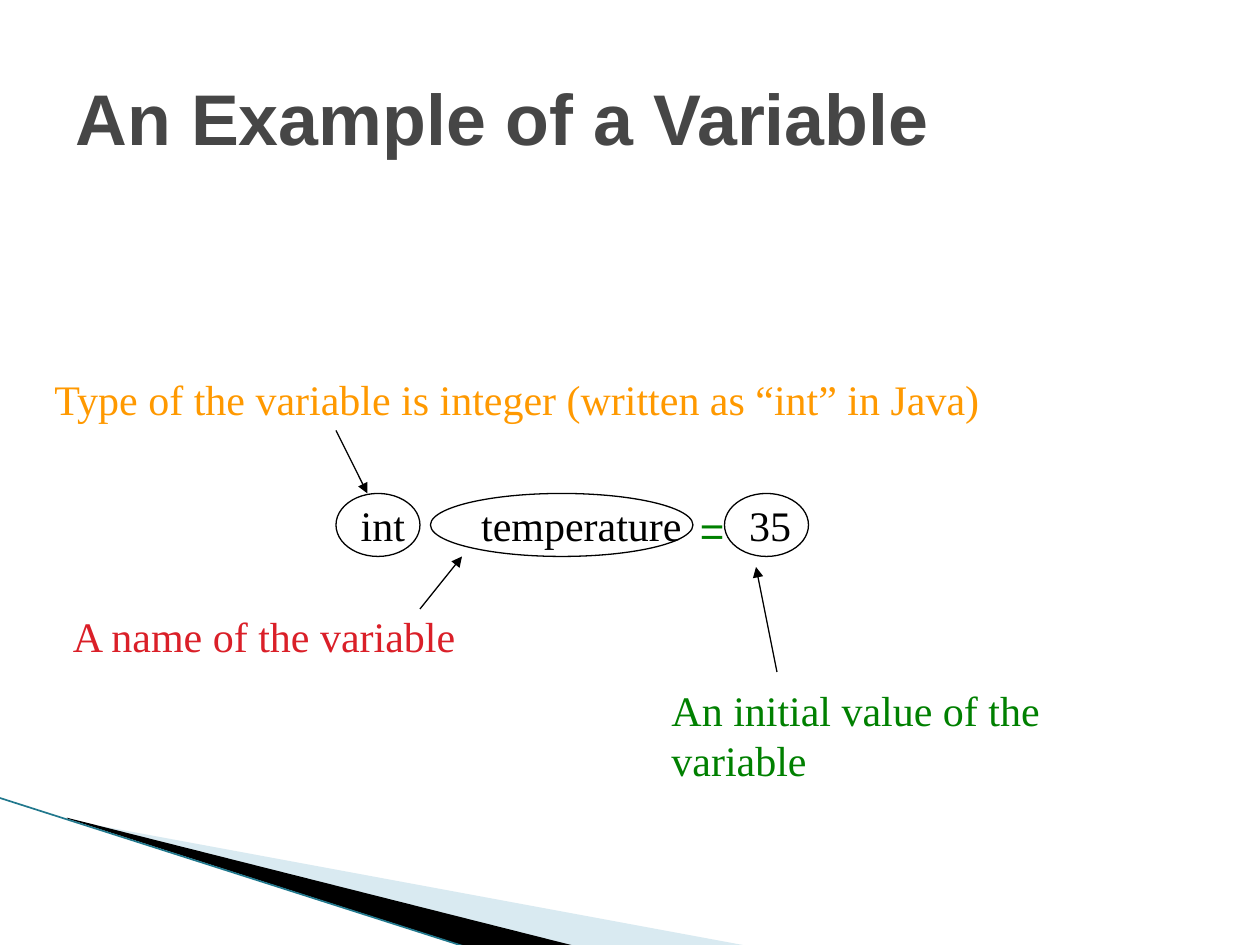
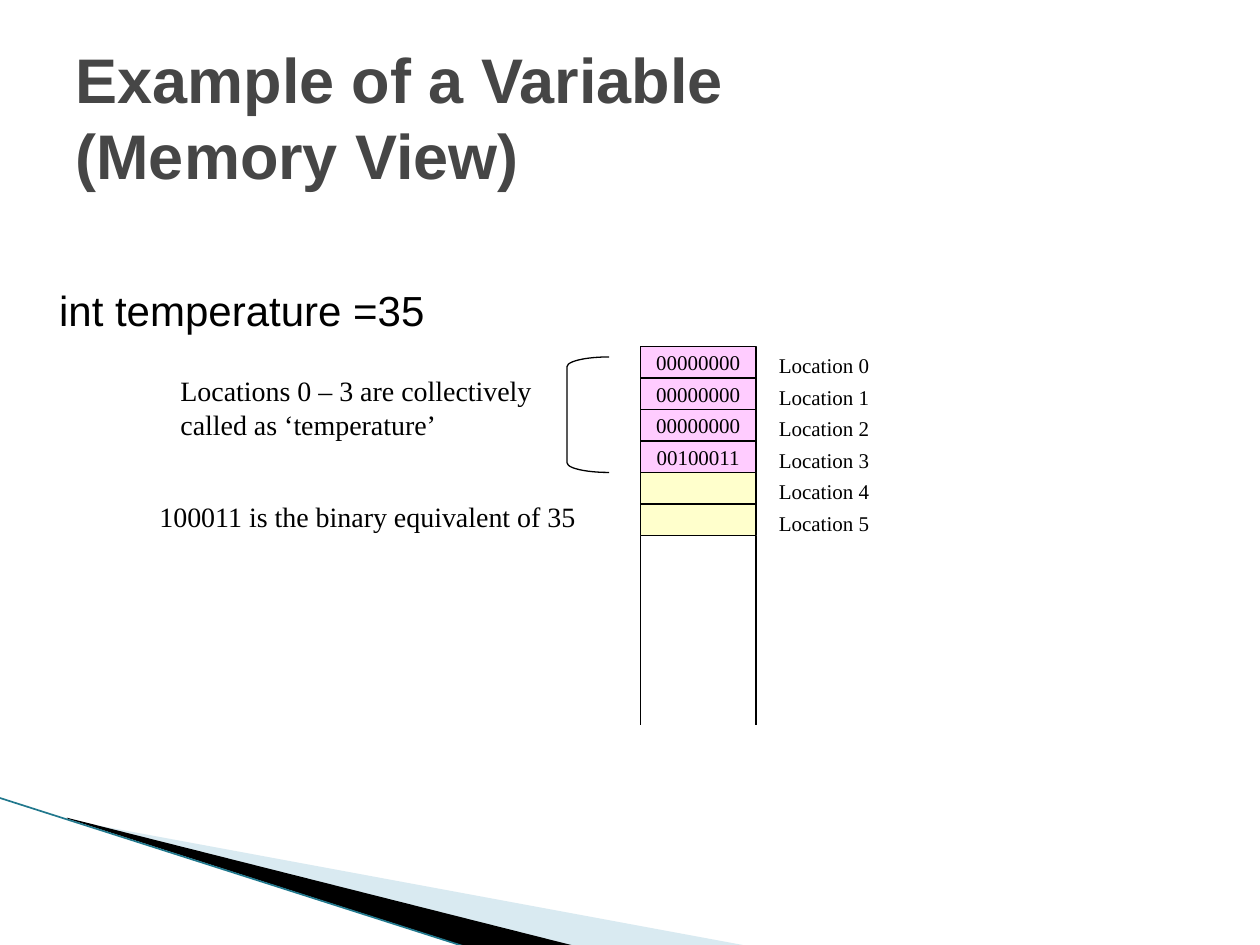
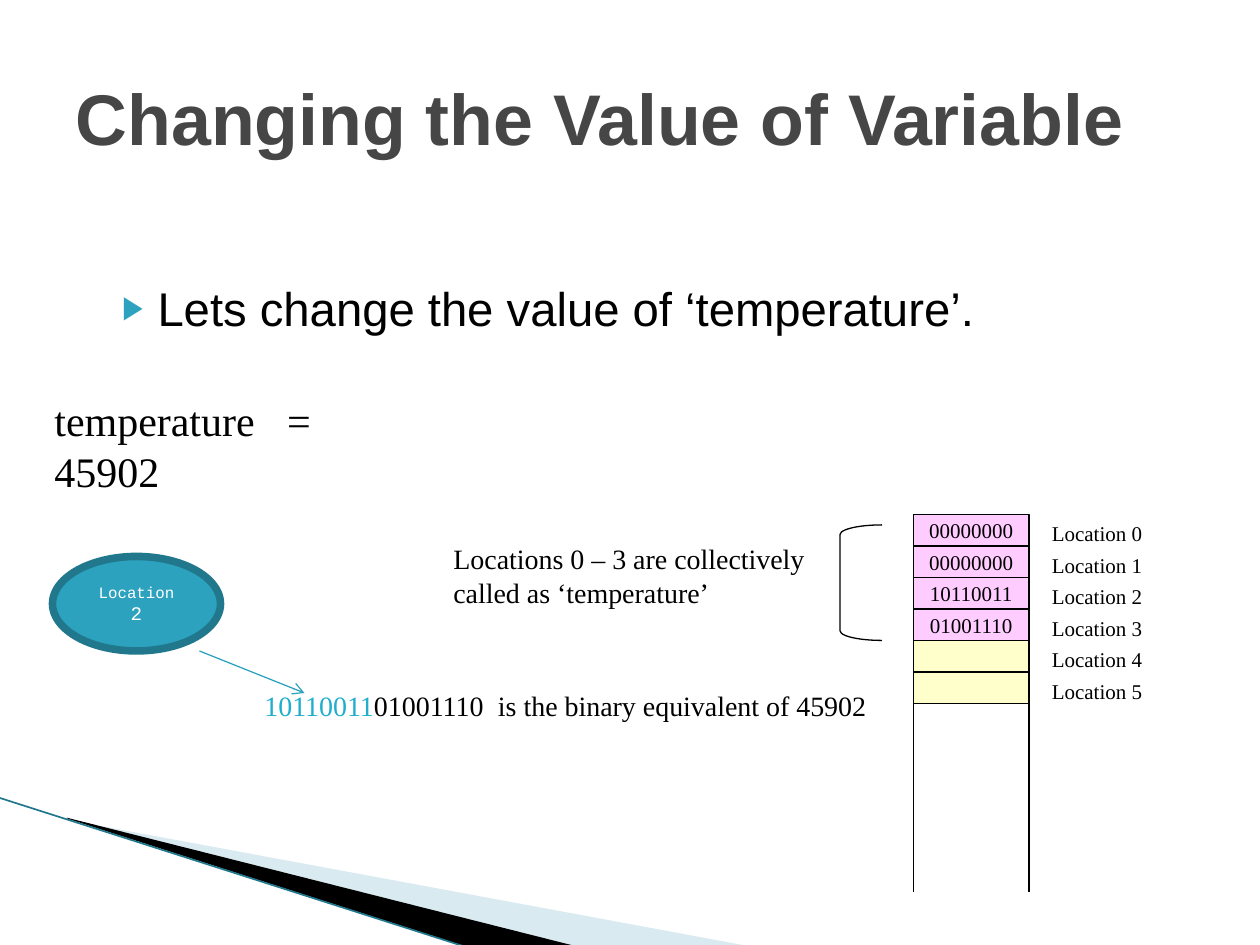
import pptx
import pptx.dml.color
import pptx.enum.shapes
import pptx.enum.text
import pptx.oxml
import pptx.oxml.ns
import pptx.util

Pt = pptx.util.Pt
RGBColor = pptx.dml.color.RGBColor
SHAPE = pptx.enum.shapes.MSO_SHAPE
ALIGN = pptx.enum.text.PP_ALIGN
ANCHOR = pptx.enum.text.MSO_ANCHOR
AUTO_SIZE = pptx.enum.text.MSO_AUTO_SIZE
qn = pptx.oxml.ns.qn

BLACK = RGBColor(0x00, 0x00, 0x00)
WHITE = RGBColor(0xFF, 0xFF, 0xFF)
TITLE_GREY = RGBColor(0x46, 0x46, 0x46)
ORANGE = RGBColor(0xFF, 0x99, 0x00)
RED = RGBColor(0xDA, 0x1F, 0x28)
GREEN = RGBColor(0x00, 0x80, 0x00)
PINK = RGBColor(0xFF, 0xCC, 0xFF)
YELLOW = RGBColor(0xFF, 0xFF, 0xCC)
TEAL = RGBColor(0x2D, 0xA2, 0xBF)
TEAL_DARK = RGBColor(0x21, 0x78, 0x8D)
TEAL_BRIGHT = RGBColor(0x1F, 0xAE, 0xCD)
PALE_BLUE = RGBColor(0xA0, 0xCB, 0xDC)

SANS, SERIF, MONO = "Arial", "Times New Roman", "Courier New"


def sub(parent, tag, **attrs):
    """Append a child element such as a:buNone and return it."""
    child = pptx.oxml.parse_xml(f"<{tag} {pptx.oxml.ns.nsdecls('a')}/>")
    for name, value in attrs.items():
        child.set(name, str(value))
    parent.append(child)
    return child


def pts(*values):
    return [Pt(v) for v in values]


def format_run(r, size, color=BLACK, font=SERIF, bold=False):
    r.font.name, r.font.size, r.font.bold = font, Pt(size), bold
    r.font.color.rgb = color


def set_text(tf, text, size, color=BLACK, font=SERIF, bold=False, align=ALIGN.LEFT):
    tf.text = text
    for p in tf.paragraphs:
        p.alignment = align
        for r in p.runs:
            format_run(r, size, color, font, bold)


def add_text(s, x, y, w, h, text, size, color=BLACK, wrap=False, tabs=()):
    tf = s.shapes.add_textbox(*pts(x, y, w, h)).text_frame
    tf.word_wrap = wrap
    set_text(tf, text, size, color)
    if tabs:
        tab_list = sub(tf.paragraphs[0]._p.get_or_add_pPr(), "a:tabLst")
        for pos in tabs:
            sub(tab_list, "a:tab", pos=int(Pt(pos)), algn="l")
    return tf


def add_shape(s, kind, x, y, w, h, fill=None, line=BLACK, weight=0.75):
    sp = s.shapes.add_shape(kind, *pts(x, y, w, h))
    sp.shadow.inherit = False
    if fill is None:
        sp.fill.background()
    else:
        sp.fill.solid()
        sp.fill.fore_color.rgb = fill
    sp.line.color.rgb, sp.line.width = line, Pt(weight)
    sp.text_frame.vertical_anchor = ANCHOR.MIDDLE
    sp.text_frame.word_wrap = False
    return sp


def add_line(s, start, end, color=BLACK, weight=0.75, head=None):
    kind = pptx.enum.shapes.MSO_CONNECTOR.STRAIGHT
    line = s.shapes.add_connector(kind, *pts(*start, *end))
    line.line.color.rgb, line.line.width = color, Pt(weight)
    spPr = line.element.spPr
    if head:
        sub(spPr.find(qn("a:ln")), "a:tailEnd", type=head)
    sub(spPr, "a:effectLst")
    return line


def add_wedge(s, points, color, alpha=None):
    first, *rest = [pts(*point) for point in points]
    builder = s.shapes.build_freeform(*first)
    builder.add_line_segments(rest, close=True)
    sp = builder.convert_to_shape()
    sp.shadow.inherit = False
    sp.fill.solid()
    sp.fill.fore_color.rgb = color
    sp.line.fill.background()
    if alpha:
        sub(sp.element.spPr.find(".//" + qn("a:srgbClr")), "a:alpha", val=alpha * 1000)
    return sp


def decorate_master(prs, s):
    """Draw the corner wedges on s and move them to the back of the master."""
    corner = [
        add_wedge(s, [(39.6, 468.7), (428.4, 540.7), (328.3, 540.7), (39.6, 468)],
                  PALE_BLUE, alpha=40),
        add_wedge(s, [(38.2, 467.3), (329, 540.7), (267.8, 541.4), (38.9, 468)], BLACK),
        add_line(s, (-0.7, 455.8), (267.1, 541.4), TEAL_DARK, 0.95),
    ]
    for i, sp in enumerate(corner):
        sp.element.find(".//" + qn("p:cNvPr")).set("id", str(100 + i))
        prs.slide_master.shapes.element.insert(2 + i, sp.element)


def place(ph, x, y, w, h):
    ph.left, ph.top, ph.width, ph.height = pts(x, y, w, h)
    ph.text_frame.auto_size = AUTO_SIZE.NONE
    ph.text_frame.word_wrap = True


def set_title(s, text, size=41):
    title = s.shapes.title
    place(title, 36, 21.6, 648, 90)
    title.text_frame.vertical_anchor = ANCHOR.MIDDLE
    set_text(title.text_frame, text, size, TITLE_GREY, SANS, bold=True)


def set_body(s, box, text, size, color=BLACK, margin=28.8, spacing=0.9, bullet=None):
    body = s.placeholders[1]
    place(body, *box)
    set_text(body.text_frame, text, size, color, SANS)
    p = body.text_frame.paragraphs[0]
    p.space_before, p.line_spacing = Pt(0), spacing
    pPr = p._p.get_or_add_pPr()
    pPr.set("marL", str(int(Pt(margin))))
    pPr.set("indent", str(int(Pt(-20.2))))
    if bullet:
        sub(sub(pPr, "a:buClr"), "a:srgbClr", val=TEAL)
        sub(pPr, "a:buSzPct", val=68000)
        sub(pPr, "a:buChar", char=bullet)
    else:
        sub(pPr, "a:buNone")


def memory_diagram(s, x, y, values, total=6):
    """Draw the memory column with its top left at x, y, and its labels."""
    w, h = 66, 18
    for i in range(total):
        top = y + i * h
        used = i < len(values)
        cell = add_shape(s, SHAPE.RECTANGLE, x, top, w, h, PINK if used else YELLOW)
        if used:
            set_text(cell.text_frame, values[i], 12, align=ALIGN.CENTER)
        add_text(s, x + 72, top, w, 21.6, f"Location {i}", 12)
    bottom = y + total * h
    for side in (x + w, x):
        add_line(s, (side, bottom), (side, bottom + 108), weight=1)
    bracket = add_shape(s, SHAPE.LEFT_BRACKET, x - 42, y + 6, 24, 66)
    bracket.adjustments[0] = 0.23
    add_text(s, x - 270, y + 12, 220, 46,
             "Locations 0 – 3 are collectively\ncalled as ‘temperature’", 16)


def variable_slide(s):
    set_title(s, "An Example of a Variable")
    set_body(s, (198, 288, 282, 54), "=", 24, GREEN, margin=215)
    for x, w, token in [(414, 48, "35"), (246, 150, "temperature"), (192, 48, "int")]:
        oval = add_shape(s, SHAPE.OVAL, x, 282, w, 36, WHITE)
        set_text(oval.text_frame, token, 24)
    add_text(s, 24, 210, 544, 36,
             "Type of the variable is integer (written as “int” in Java)", 24, ORANGE)
    add_text(s, 34.6, 345.6, 234, 36, "A name of the variable", 24, RED)
    add_text(s, 376.6, 387.4, 288, 64, "An initial value of the variable", 24, GREEN,
             wrap=True)
    for start, end in [((192, 246), (210, 282)), ((240, 348), (264, 318)),
                       ((444, 384), (432, 324))]:
        add_line(s, start, end, head="triangle")


def memory_slide(s):
    set_title(s, "Example of a Variable \v(Memory View)", 36)
    set_body(s, (18, 162, 282, 54), "int temperature =35", 24)
    memory_diagram(s, 366, 198, ["00000000", "00000000", "00000000", "00100011"])
    add_text(s, 84, 282, 254, 26.6, "100011 is the binary equivalent of 35", 16)


def change_slide(s):
    set_title(s, "Changing the Value of Variable")
    set_body(s, (54, 156, 612, 54), "Lets change the value of ‘temperature’.", 27,
             spacing=1.0, bullet="▶")
    add_text(s, 24, 222, 244, 36, "temperature\t=\t45902", 24, tabs=(133, 170))
    memory_diagram(s, 522, 294, ["00000000", "00000000", "10110011", "01001110"])

    tf = add_text(s, 144, 390, 366, 26.6, "10110011", 16, TEAL_BRIGHT, wrap=True,
                  tabs=(133.5,))
    r = tf.paragraphs[0].add_run()
    r.text = "01001110\tis the binary equivalent of 45902"
    format_run(r, 16)

    add_line(s, (114, 372), (174, 396), TEAL, head="arrow")
    oval = add_shape(s, SHAPE.OVAL, 30, 318, 96, 54, TEAL, TEAL_DARK, 4.33)
    oval.text_frame.word_wrap = True
    set_text(oval.text_frame, "Location ", 9, WHITE, MONO, align=ALIGN.CENTER)
    r = oval.text_frame.paragraphs[0].add_run()
    r.text = "2"
    format_run(r, 11, WHITE, MONO)


def main():
    prs = pptx.Presentation()
    prs.slide_width, prs.slide_height = pts(720, 540)
    for i, build in enumerate([variable_slide, memory_slide, change_slide]):
        s = prs.slides.add_slide(prs.slide_layouts[1])
        if i == 0:
            decorate_master(prs, s)
        build(s)
    prs.save("out.pptx")


if __name__ == "__main__":
    main()
